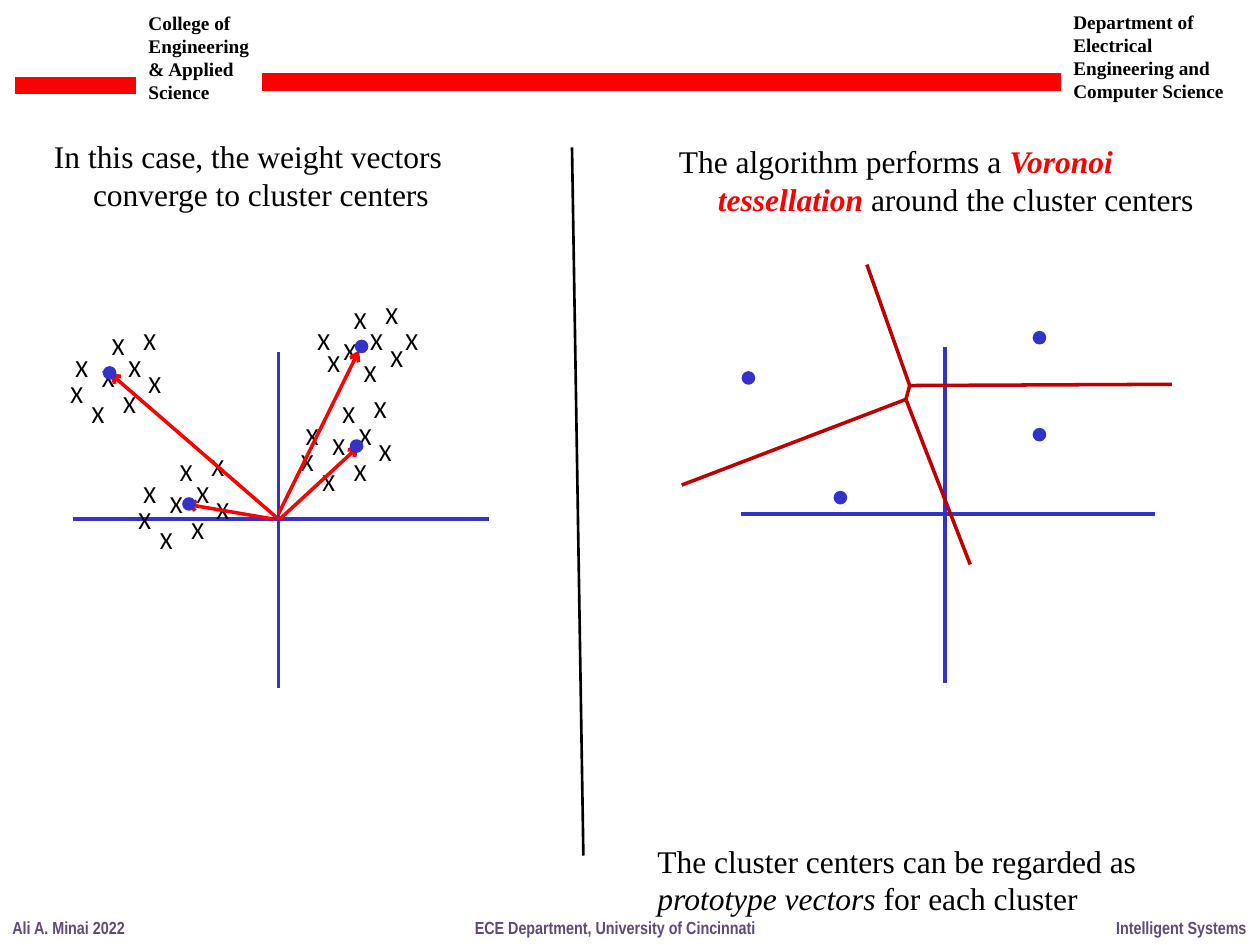
"""Build a slide on cluster centers and the Voronoi tessellation around them."""
from lxml import etree
from pptx import Presentation
from pptx.dml.color import RGBColor
from pptx.enum.shapes import MSO_CONNECTOR, MSO_SHAPE
from pptx.enum.text import MSO_AUTO_SIZE
from pptx.oxml.ns import qn
from pptx.util import Emu, Pt

STRAIGHT = MSO_CONNECTOR.STRAIGHT
OVAL = MSO_SHAPE.OVAL
FIT_TEXT = MSO_AUTO_SIZE.SHAPE_TO_FIT_TEXT
PX_PER_INCH = 100
COLORS = {"black": "000000", "red": "FF0000", "blue": "3333CC",
          "crimson": "C00000", "purple": "604A7B"}
SERIF, NARROW, SANS = "Times New Roman", "Arial Narrow", "Calibri"
PLAIN = {}
BOLD = {"bold": True}
ITALIC = {"italic": True}
KEY_TERM = {"bold": True, "italic": True, "color": "red"}

HEADERS = [
    ((108, 4, 109, 84), [[("College of Engineering & Applied", BOLD)], [("Science", BOLD)]]),
    ((842, 3, 147, 84),
     [[("Department of Electrical Engineering and Computer Science", BOLD)]]),
]
HEADER_BARS = [((12, 68), (108, 68)), ((208, 65), (842, 65))]
FOOTERS = [
    ((0, 723, 110, 27), "Ali A. Minai 2022"),
    ((876, 723, 124, 27), "Intelligent Systems"),
    ((367, 723, 245, 27), "ECE Department, University of Cincinnati"),
]
STATEMENTS = [
    ((33, 104, 332, 71), 31, [
        [("In this case, the weight vectors", PLAIN)],
        [("converge to cluster centers", PLAIN)]]),
    ((529, 108, 436, 71), 31, [
        [("The algorithm performs a ", PLAIN), ("Voronoi", KEY_TERM)],
        [("tessellation", KEY_TERM), (" around the cluster centers", PLAIN)]]),
    ((512, 663, 404, 71), 0, [
        [("The cluster centers can be regarded as", PLAIN)],
        [("prototype vectors", ITALIC), (" for each cluster", PLAIN)]]),
]

SAMPLE_SIZE = (30, 34)
SHARED_SAMPLES = [(58, -42), (62, -8), (33, -38), (46, -21), (4, -21), (25, -13)]
ROUND_SAMPLES = SHARED_SAMPLES + [(0, 0), (17, 16), (42, 8)]
WIDE_SAMPLES = SHARED_SAMPLES + [(12, -4), (41, 4), (74, -21)]
CLUSTERS = [
    ((100, 396), ROUND_SAMPLES),
    ((229, 350), ROUND_SAMPLES),
    ((238, 275), WIDE_SAMPLES),
    ((46, 296), ROUND_SAMPLES),
]
WEIGHT_VECTORS = [
    ((221, 413), (285, 354)), ((221, 408), (285, 278)),
    ((221, 412), (87, 296)), ((217, 412), (147, 400)),
]
AXES = [
    ((221, 279), (221, 546)), ((388, 412), (58, 412)),
    ((750, 275), (750, 542)), ((917, 408), (588, 408)),
]
CENTER_SIZE = 8
CENTERS = [(283, 271), (279, 350), (146, 396), (83, 292),
           (663, 391), (590, 296), (821, 341), (821, 264)]
UPPER_JOINT, LOWER_JOINT = (722, 306), (719, 317)
CELL_BORDERS = [
    (UPPER_JOINT, (930, 305)), (LOWER_JOINT, (770, 448)),
    (LOWER_JOINT, (541, 385)), ((688, 210), UPPER_JOINT),
    (UPPER_JOINT, LOWER_JOINT),
]
DIVIDER = ((454, 117), (463, 679))


def px(length):
    return Emu(round(length * 914400 / PX_PER_INCH))


def rgb(name):
    return RGBColor.from_string(COLORS[name])


def add_text(slide, place, paragraphs, font, size, color="black", wrap=False, hang=0):
    frame = slide.shapes.add_textbox(*map(px, place)).text_frame
    frame.word_wrap = wrap
    frame.auto_size = FIT_TEXT
    for number, pieces in enumerate(paragraphs):
        paragraph = frame.add_paragraph() if number else frame.paragraphs[0]
        if number and hang:
            paragraph._p.get_or_add_pPr().set("marL", str(px(hang)))
        for words, style in pieces:
            run = paragraph.add_run()
            run.text = words
            run.font.name = font
            run.font.size = Pt(size)
            run.font.bold = style.get("bold", False)
            run.font.italic = style.get("italic", False)
            run.font.color.rgb = rgb(style.get("color", color))


def add_line(slide, ends, color, width, arrow=False):
    start, end = ends
    line = slide.shapes.add_connector(STRAIGHT, *map(px, start + end))
    line.line.color.rgb = rgb(color)
    line.line.width = Pt(width)
    if arrow:
        etree.SubElement(line.line._get_or_add_ln(), qn("a:tailEnd"), type="arrow")
    etree.SubElement(line._element.spPr, qn("a:effectLst"))


def add_center(slide, corner):
    center = slide.shapes.add_shape(OVAL, *map(px, corner + (CENTER_SIZE, CENTER_SIZE)))
    center.shadow.inherit = False
    center.fill.solid()
    center.fill.fore_color.rgb = rgb("blue")
    center.line.color.rgb = rgb("blue")
    center.line.width = Pt(2)


def main():
    deck = Presentation()
    deck.slide_width, deck.slide_height = px(1000), px(750)
    slide = deck.slides.add_slide(deck.slide_layouts[6])

    for place, paragraphs in HEADERS:
        add_text(slide, place, paragraphs, SERIF, 11, wrap=True)
    for bar in HEADER_BARS:
        add_line(slide, bar, "red", 10)
    for place, words in FOOTERS:
        add_text(slide, place, [[(words, BOLD)]], NARROW, 10, "purple")

    for axis in AXES:
        add_line(slide, axis, "blue", 2)
    for (left, top), samples in CLUSTERS:
        for dx, dy in samples:
            add_text(slide, (left + dx, top + dy) + SAMPLE_SIZE, [[("X", PLAIN)]], SANS, 14)
    for vector in WEIGHT_VECTORS:
        add_line(slide, vector, "red", 2, arrow=True)
    for corner in CENTERS:
        add_center(slide, corner)
    for border in CELL_BORDERS:
        add_line(slide, border, "crimson", 2)
    add_line(slide, DIVIDER, "black", 1.5)
    for place, hang, paragraphs in STATEMENTS:
        add_text(slide, place, paragraphs, SERIF, 18, hang=hang)

    deck.save("out.pptx")


if __name__ == "__main__":
    main()
